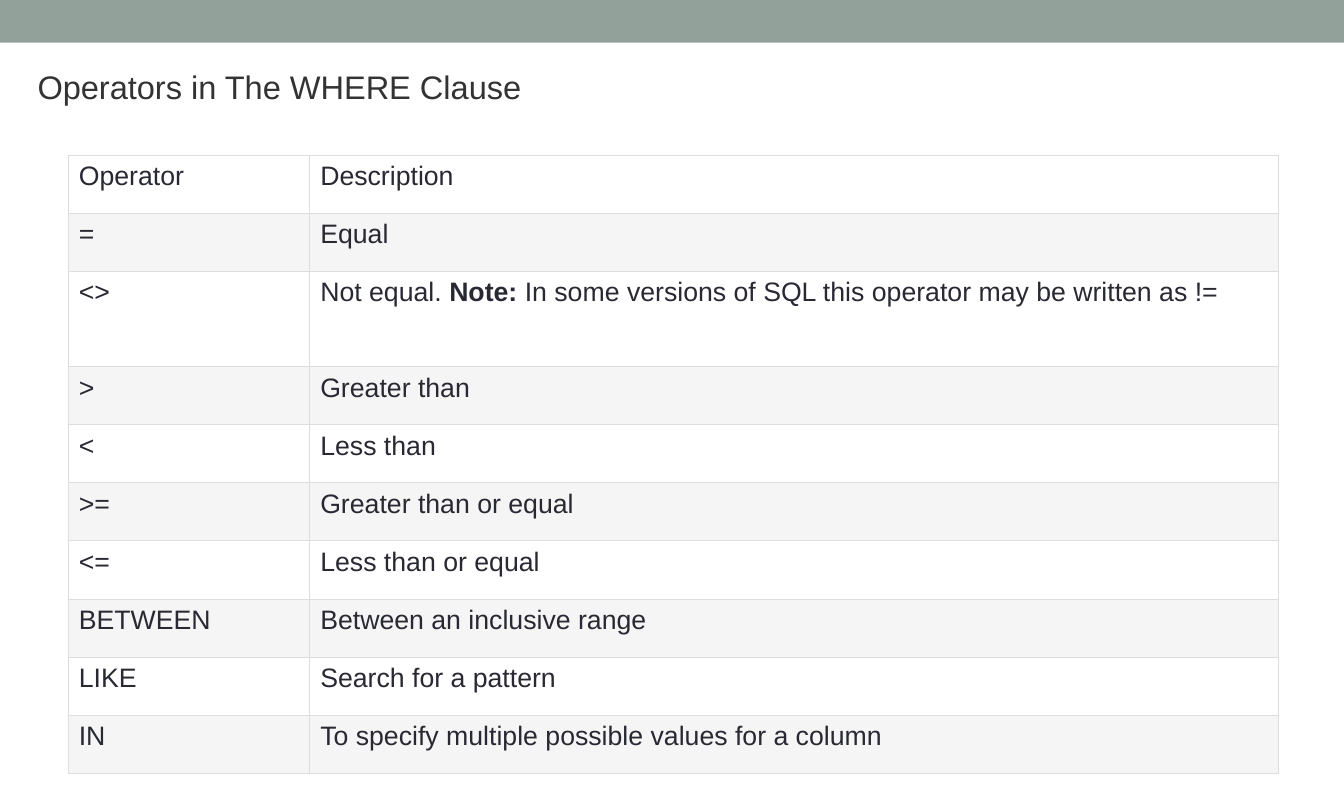
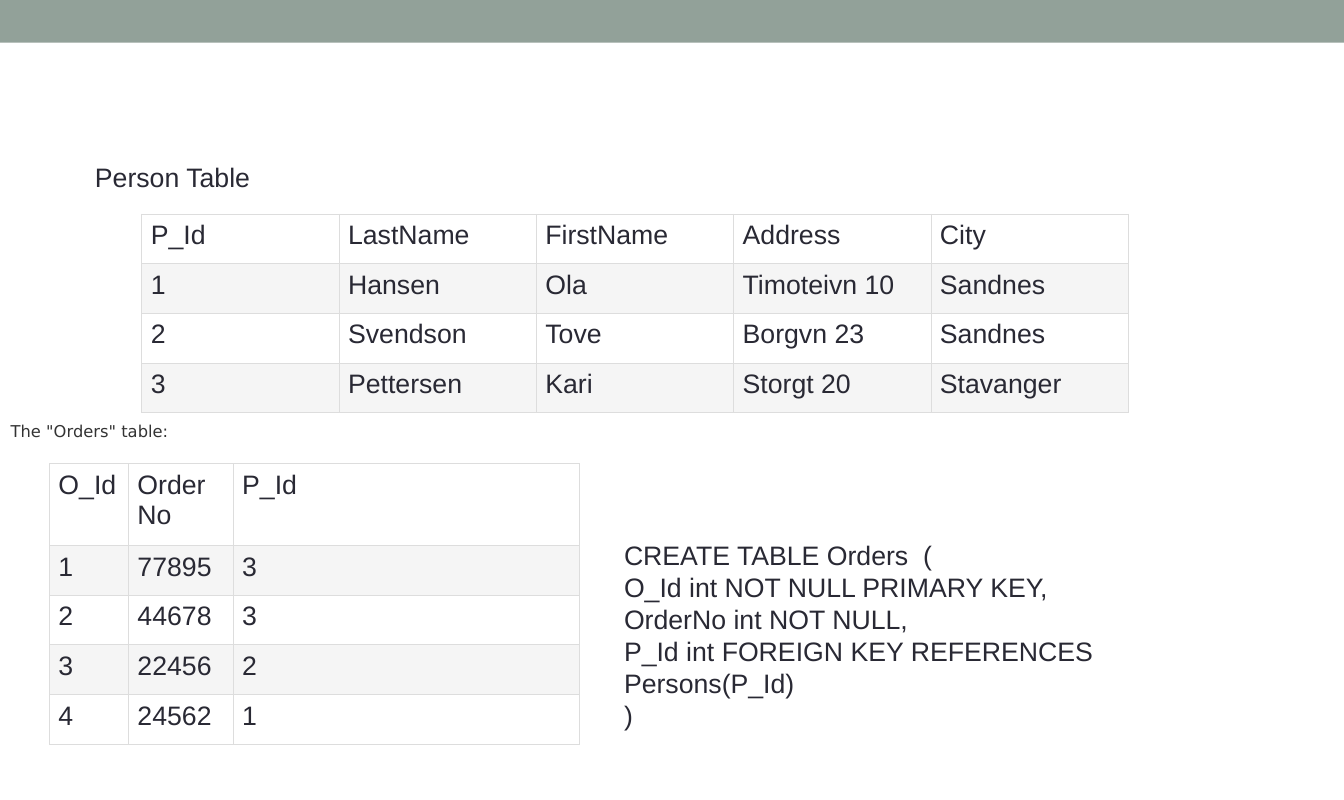
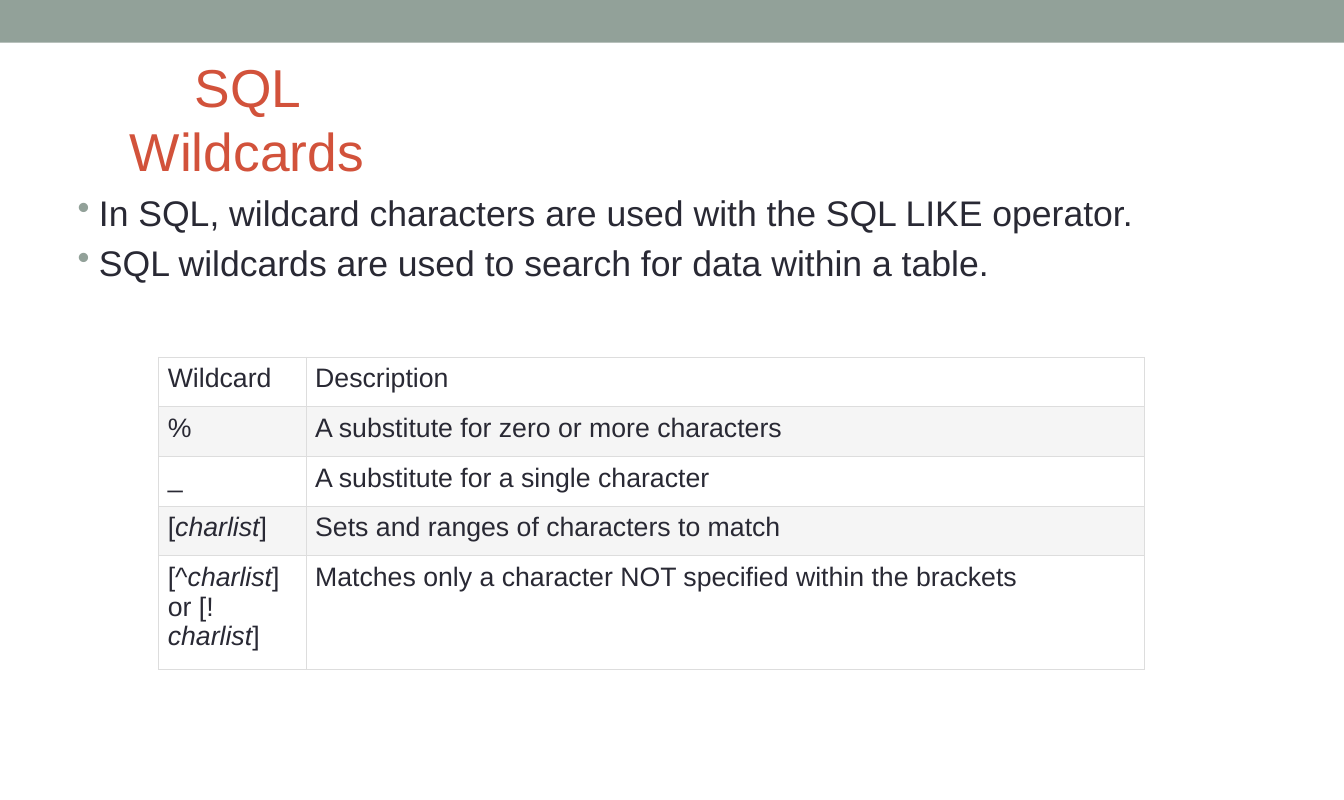
from lxml import etree
from pptx import Presentation
from pptx.dml.color import RGBColor
from pptx.enum.shapes import MSO_SHAPE
from pptx.enum.text import PP_ALIGN
from pptx.oxml.ns import qn
from pptx.util import Pt

RECTANGLE = MSO_SHAPE.RECTANGLE
LEFT, CENTER = PP_ALIGN.LEFT, PP_ALIGN.CENTER

SLIDE_WIDTH, SLIDE_HEIGHT = 907.2, 540
BLANK_LAYOUT = 6
SAGE, INK, GRAY, RED = "92A199", "292934", "333333", "D2523B"
STRIPE, BORDER = "F5F5F5", "DDDDDD"
FONT, CAPTION_FONT = "Arial", "DejaVu Sans"
TEXT_SIZE = 18
LINE_FACTOR = 1.2
ROW = 33.5

OPERATORS = [
    ("Operator", "Description"),
    ("=", "Equal"),
    ("<>", ["Not equal. ", ("Note: ", "bold"),
            "In some versions of SQL this operator may be written as !="]),
    (">", "Greater than"),
    ("<", "Less than"),
    (">=", "Greater than or equal"),
    ("<=", "Less than or equal"),
    ("BETWEEN", "Between an inclusive range"),
    ("LIKE", "Search for a pattern"),
    ("IN", "To specify multiple possible values for a column"),
]
PERSONS = [
    ("P_Id", "LastName", "FirstName", "Address", "City"),
    ("1", "Hansen", "Ola", "Timoteivn 10", "Sandnes"),
    ("2", "Svendson", "Tove", "Borgvn 23", "Sandnes"),
    ("3", "Pettersen", "Kari", "Storgt 20", "Stavanger"),
]
ORDERS = [
    ("O_Id", "Order No", "P_Id"),
    ("1", "77895", "3"),
    ("2", "44678", "3"),
    ("3", "22456", "2"),
    ("4", "24562", "1"),
]
CREATE_ORDERS = [
    "CREATE TABLE Orders  (",
    "O_Id int NOT NULL PRIMARY KEY,",
    "OrderNo int NOT NULL,",
    "P_Id int FOREIGN KEY REFERENCES Persons(P_Id)",
    ")",
]
CHARLIST = ("charlist", "italic")
WILDCARDS = [
    ("Wildcard", "Description"),
    ("%", "A substitute for zero or more characters"),
    ("_", "A substitute for a single character"),
    (["[", CHARLIST, "]"], "Sets and ranges of characters to match"),
    (["[^", CHARLIST, "] or [!", CHARLIST, "]"],
     "Matches only a character NOT specified within the brackets"),
]
WILDCARD_FACTS = [
    "In SQL, wildcard characters are used with the SQL LIKE operator.",
    "SQL wildcards are used to search for data within a table.",
]


def color(value):
    return RGBColor.from_string(value)


def set_font(paragraph, size, ink, name=FONT):
    paragraph.font.size = Pt(size)
    paragraph.font.name = name
    paragraph.font.color.rgb = color(ink)


def add_runs(paragraph, content):
    for part in [content] if isinstance(content, str) else content:
        text, style = (part, None) if isinstance(part, str) else part
        run = paragraph.add_run()
        run.text = text
        if style:
            setattr(run.font, style, True)


def set_bullet(paragraph):
    properties = paragraph._p.get_or_add_pPr()
    properties.set("marL", str(Pt(15)))
    properties.set("indent", str(Pt(-14.4)))
    tint = etree.SubElement(properties, qn("a:buClr"))
    etree.SubElement(tint, qn("a:srgbClr"), val=SAGE)
    etree.SubElement(properties, qn("a:buChar"), char="•")


def set_borders(cell):
    properties = cell._tc.get_or_add_tcPr()
    for side in ("a:lnL", "a:lnR", "a:lnT", "a:lnB"):
        line = etree.SubElement(properties, qn(side), w=str(Pt(0.75)))
        fill = etree.SubElement(line, qn("a:solidFill"))
        etree.SubElement(fill, qn("a:srgbClr"), val=BORDER)


def add_slide(deck):
    slide = deck.slides.add_slide(deck.slide_layouts[BLANK_LAYOUT])
    band = slide.shapes.add_shape(RECTANGLE, 0, 0, Pt(SLIDE_WIDTH), Pt(28.8))
    band.shadow.inherit = False
    band.fill.solid()
    band.fill.fore_color.rgb = color(SAGE)
    band.line.fill.background()
    return slide


def add_text(slide, box, lines, size=TEXT_SIZE, ink=INK, font=FONT,
             align=LEFT, inset=(0, 0.7), bullets=False, gap=0):
    frame = slide.shapes.add_textbox(*map(Pt, box)).text_frame
    frame.word_wrap = True
    frame.margin_left, frame.margin_top = map(Pt, inset)
    frame.margin_right = frame.margin_bottom = 0
    for index, line in enumerate(lines):
        paragraph = frame.add_paragraph() if index else frame.paragraphs[0]
        add_runs(paragraph, line)
        if bullets:
            set_bullet(paragraph)
        paragraph.alignment = align
        paragraph.line_spacing = Pt(size * LINE_FACTOR)
        if index and gap:
            paragraph.space_before = Pt(gap)
        set_font(paragraph, size, ink, font)


def add_title(slide, box, title, size=TEXT_SIZE, ink=INK):
    add_text(slide, box, [title], size, ink, align=CENTER, inset=(0.7, 0.7))


def add_grid(slide, left, top, widths, heights, rows, indent=6):
    table = slide.shapes.add_table(
        len(rows), len(widths), Pt(left), Pt(top),
        Pt(sum(widths)), Pt(sum(heights))).table
    table.first_row = table.horz_banding = False
    for column, width in zip(table.columns, widths):
        column.width = Pt(width)
    for index, (row, height, contents) in enumerate(
            zip(table.rows, heights, rows)):
        row.height = Pt(height)
        for cell, content in zip(row.cells, contents):
            cell.margin_left, cell.margin_top = Pt(indent), Pt(4.3)
            cell.margin_right, cell.margin_bottom = Pt(3), 0
            set_borders(cell)
            if index % 2:
                cell.fill.solid()
                cell.fill.fore_color.rgb = color(STRIPE)
            else:
                cell.fill.background()
            paragraph = cell.text_frame.paragraphs[0]
            add_runs(paragraph, content)
            set_font(paragraph, TEXT_SIZE, INK)


def add_operators_slide(deck):
    slide = add_slide(deck)
    heights = [39.2] * 2 + [64.5] + [39.2] * 7
    add_grid(slide, 46, 104.8, [163, 654], heights, OPERATORS, indent=7.2)
    add_title(slide, (23.8, 44.6, 329, 28), "Operators in The WHERE Clause",
              22, GRAY)


def add_keys_slide(deck):
    slide = add_slide(deck)
    add_grid(slide, 95.8, 144.6, [133.2] * 5, [ROW] * 4, PERSONS)
    add_grid(slide, 33.5, 313, [53.3, 70.7, 233.5], [55.4] + [ROW] * 4, ORDERS)
    add_text(slide, (6.5, 283.7, 112, 15), ['The "Orders" table:'], 11, GRAY,
             CAPTION_FONT, inset=(0.7, 0.7))
    add_title(slide, (62.6, 108, 107, 24), "Person Table")
    add_text(slide, (421.2, 363, 434, 132), CREATE_ORDERS)


def add_wildcards_slide(deck):
    slide = add_slide(deck)
    add_title(slide, (51.8, 36, 229, 88), "SQL Wildcards", 36, RED)
    add_text(slide, (51.8, 122.4, 716, 71), WILDCARD_FACTS, 24,
             inset=(0, 6.5), bullets=True, gap=5)
    add_grid(slide, 107.3, 241.2, [99.5, 566], [ROW] * 4 + [77], WILDCARDS)


def main():
    deck = Presentation()
    deck.slide_width, deck.slide_height = Pt(SLIDE_WIDTH), Pt(SLIDE_HEIGHT)
    add_operators_slide(deck)
    add_keys_slide(deck)
    add_wildcards_slide(deck)
    deck.save("out.pptx")


if __name__ == "__main__":
    main()
